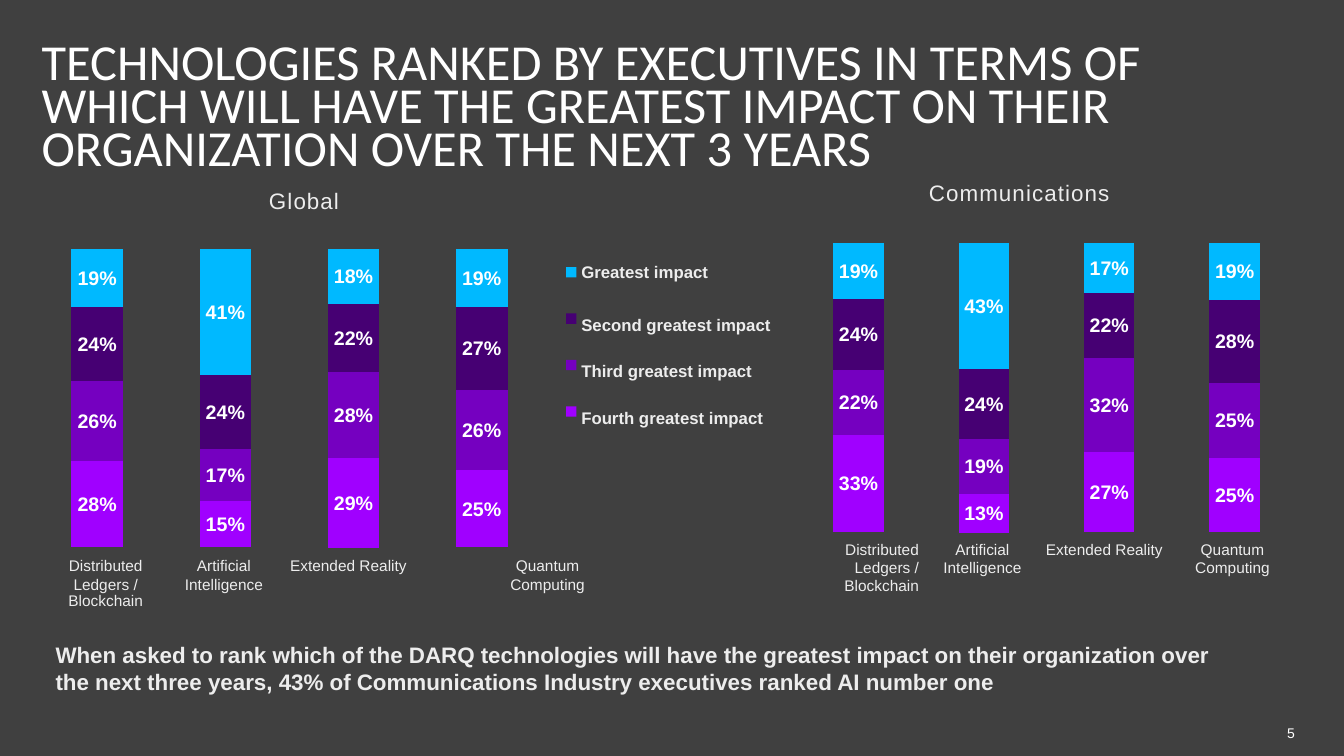
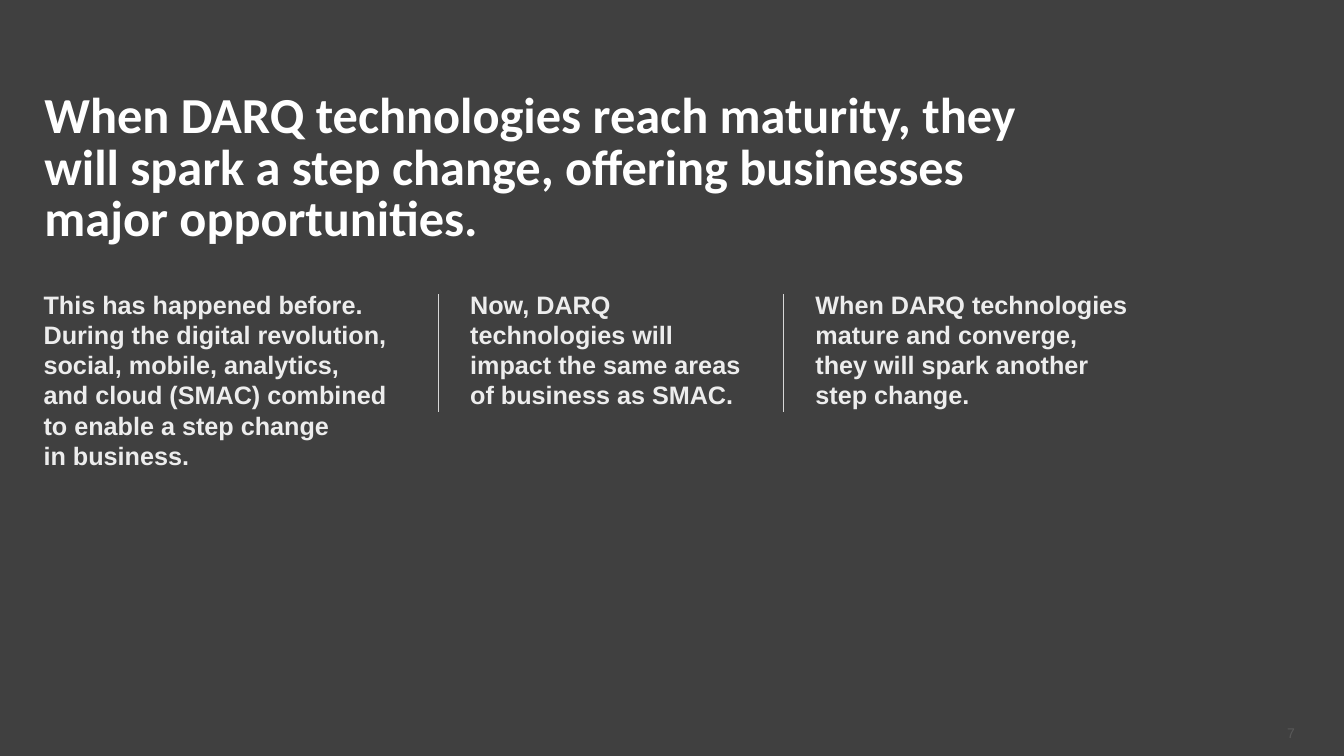
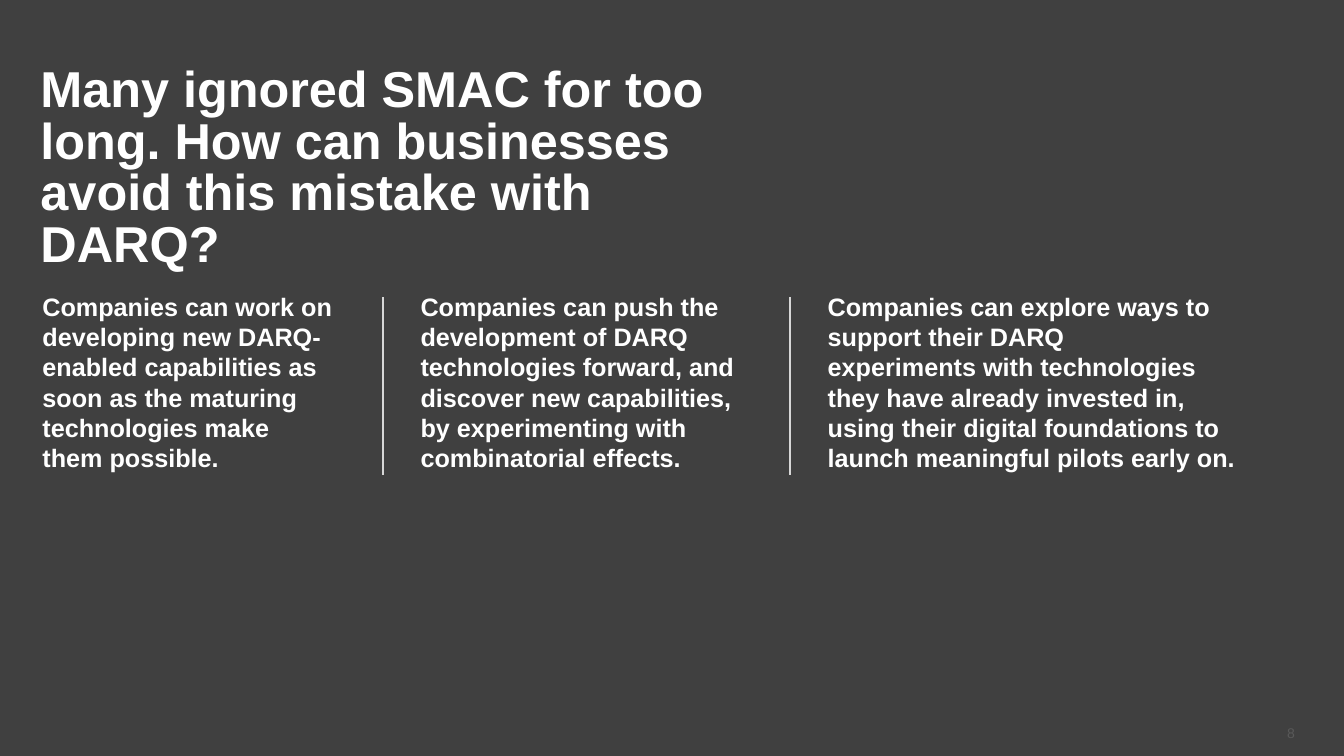
from copy import deepcopy

from lxml.etree import SubElement
from pptx import Presentation
from pptx.dml.color import RGBColor
from pptx.enum.shapes import MSO_CONNECTOR, MSO_SHAPE
from pptx.enum.text import MSO_ANCHOR, MSO_AUTO_SIZE, PP_ALIGN
from pptx.oxml.ns import qn
from pptx.util import Cm, Pt

BACKGROUND, WHITE, PALE, DIVIDER, DIM = "404040", "FFFFFF", "EDEDED", "D7D7D7", "595959"
PLAIN_TABLE = "{2D5ABB26-0587-4C30-8999-92F81FD0307C}"

# Impact ranks from the top of a bar down
RANKS = {
    "Greatest impact": "00B9FF",
    "Second greatest impact": "460073",
    "Third greatest impact": "7500C0",
    "Fourth greatest impact": "A000FF",
}


def rgb(value):
    return RGBColor.from_string(value)


def set_values(target, values):
    for attribute, value in values.items():
        setattr(target, attribute, value)


def write_paragraph(paragraph, text, leading, size, color, bold=False, name="Arial",
                    align=PP_ALIGN.LEFT, tracking=0):
    paragraph.text = text
    set_values(paragraph, {"alignment": align, "line_spacing": Pt(leading),
                           "space_before": Pt(0)})
    for run in paragraph.runs:
        set_values(run.font, {"name": name, "size": Pt(size), "bold": bold})
        run.font.color.rgb = rgb(color)
        if tracking:
            run.font._element.set("spc", str(tracking))
    # Line breaks take the format of the text around them
    for line_break in paragraph._p.findall(qn("a:br")):
        line_break.append(deepcopy(paragraph.runs[0].font._element))


def write(shape, text, leading, size, color, anchor=MSO_ANCHOR.TOP, **options):
    frame = shape.text_frame
    set_values(frame, {
        "margin_left": 0, "margin_right": 0, "margin_top": 0, "margin_bottom": 0,
        "word_wrap": True, "auto_size": MSO_AUTO_SIZE.NONE, "vertical_anchor": anchor,
    })
    write_paragraph(frame.paragraphs[0], text, leading, size, color, **options)


def write_cell(cell, text, leading, size, color, anchor=MSO_ANCHOR.TOP, fill=None, indent=0,
               **options):
    set_values(cell, {"margin_left": Cm(indent), "margin_right": 0, "margin_top": 0,
                      "margin_bottom": 0, "vertical_anchor": anchor})
    if fill:
        cell.fill.solid()
        cell.fill.fore_color.rgb = rgb(fill)
    else:
        cell.fill.background()
    paragraph = cell.text_frame.paragraphs[0]
    if text:
        write_paragraph(paragraph, text, leading, size, color, **options)
    else:
        # A small end mark keeps empty cells from stretching their row
        SubElement(paragraph._p, qn("a:endParaRPr")).set("sz", "600")


def add_text(slide, box, text, leading, size, color, **options):
    label = slide.shapes.add_textbox(*map(Cm, box))
    write(label, text, leading, size, color, **options)


def add_plain_table(slide, left, top, widths, heights):
    frame = slide.shapes.add_table(
        len(heights), len(widths), Cm(left), Cm(top), Cm(sum(widths)), Cm(sum(heights)))
    table = frame.table
    table.first_row = table.horz_banding = False
    table._tbl.tblPr.find(qn("a:tableStyleId")).text = PLAIN_TABLE
    for column, width in zip(table.columns, widths):
        column.width = Cm(width)
    for row, height in zip(table.rows, heights):
        row.height = Cm(height)
    return table


def add_slide(prs, number, number_color, title, box, leading=36.8, bold=True, name="Arial"):
    """Start a slide with its title and page number."""
    slide = prs.slides.add_slide(prs.slide_layouts[5])
    heading = slide.shapes.title
    heading.left, heading.top, heading.width, heading.height = map(Cm, box)
    write(heading, title, leading, 36, WHITE, bold=bold, name=name, anchor=MSO_ANCHOR.MIDDLE)
    add_text(slide, (31.6, 18.28, 1.03, 0.45), str(number), 11.2, 10, number_color,
             align=PP_ALIGN.RIGHT)
    return slide


def add_ranking(slide, left, top, bar_width, height, pitch, heading, heading_offset, bars):
    """A heading above bars of equal height, each split by its shares."""
    dx, dy = heading_offset
    add_text(slide, (left + dx, top + dy, 4.8, 0.71), heading, 19, 16, PALE, tracking=80)
    for index, shares in enumerate(bars):
        heights = [round(height * share / sum(shares), 2) for share in shares]
        bar = add_plain_table(slide, left + index * pitch, top, [bar_width], heights)
        for row, (share, color) in enumerate(zip(shares, RANKS.values())):
            write_cell(bar.cell(row, 0), f"{share}%", 16.4, 14, WHITE, fill=color, bold=True,
                       align=PP_ALIGN.CENTER, anchor=MSO_ANCHOR.MIDDLE)


def add_technology_names(slide, left, top):
    """One table names the bars of both rankings; the right half starts a row higher."""
    widths = (2.69, 3.02, 3.71, 6.12, 6.3, 2.95, 3.63, 2.46)
    indents = (0, 0.25, 0.28, 0, 0, 0.25, 0.25, 0.18)
    heights = (0.38, 0.46, 0.46, 0.38)
    names = [["Distributed", "Ledgers /", "Blockchain"], ["Artificial", "Intelligence"],
             ["Extended Reality"], ["Quantum", "Computing"]]
    center, flush = PP_ALIGN.CENTER, PP_ALIGN.LEFT
    aligns = (center, center, flush, center, PP_ALIGN.RIGHT, center, flush, center)
    table = add_plain_table(slide, left, top, widths, heights)
    for column, (indent, align) in enumerate(zip(indents, aligns)):
        lines = names[column % 4]
        start = 1 if column < 4 else 0
        for row in range(len(heights)):
            in_name = start <= row < start + len(lines)
            text = lines[row - start] if in_name else ""
            leading = 9.9 if row in (0, 3) else 11.1 if start else 12.1
            write_cell(table.cell(row, column), text, leading, 11, PALE, indent=indent,
                       align=align)
    table.cell(0, 0).merge(table.cell(0, 3))


def add_legend(slide, left, top):
    pitch, side, label_height = 1.17, 0.26, 0.52
    for index, (rank, color) in enumerate(RANKS.items()):
        key_top = top + index * pitch
        key = slide.shapes.add_shape(
            MSO_SHAPE.RECTANGLE, Cm(left), Cm(key_top), Cm(side), Cm(side))
        key.shadow.inherit = False
        key.fill.solid()
        key.fill.fore_color.rgb = rgb(color)
        key.line.fill.background()
        # Labels after the first sit slightly below their key
        drop = 0.15 if index else 0
        label_top = key_top + (side - label_height) / 2 + drop
        add_text(slide, (left + 0.38, label_top, 5.1, label_height), rank, 14.4, 12, PALE,
                 bold=True, anchor=MSO_ANCHOR.MIDDLE)


def add_columns(slide, top, height, divider_height, gap, color, columns):
    """Text columns, each after the first with a divider to its left."""
    for index, (left, width, text) in enumerate(columns):
        add_text(slide, (left, top, width, height), text, 21.6, 18, color, bold=True)
        if index:
            x, y = left - gap, top + 0.14
            divider = slide.shapes.add_connector(
                MSO_CONNECTOR.STRAIGHT, Cm(x), Cm(y), Cm(x), Cm(y + divider_height))
            divider.line.color.rgb = rgb(DIVIDER)
            divider.line.width = Pt(0.96)
            SubElement(divider._element.spPr, qn("a:effectLst"))


def build_ranking_slide(prs):
    slide = add_slide(
        prs, 5, WHITE,
        "TECHNOLOGIES RANKED BY EXECUTIVES IN TERMS OF\v"
        "WHICH WILL HAVE THE GREATEST IMPACT ON THEIR\v"
        "ORGANIZATION OVER THE NEXT 3 YEARS",
        (1.05, 0.92, 31.19, 3.81), leading=30.7, bold=False, name="Calibri")
    add_ranking(
        slide, 1.8, 6.27, 1.3, 7.52, 3.23, "Global", (4.98, -1.54),
        [(19, 24, 26, 28), (41, 24, 17, 15), (18, 22, 28, 29), (19, 27, 26, 25)])
    add_legend(slide, 14.27, 6.73)
    add_ranking(
        slide, 21, 6.12, 1.27, 7.29, 3.16, "Communications", (2.41, -1.6),
        [(19, 24, 22, 33), (43, 24, 19, 13), (17, 22, 32, 27), (19, 28, 25, 25)])
    add_technology_names(slide, 1.32, 13.72)
    add_text(
        slide, (1.4, 16.17, 29.8, 1.42),
        "When asked to rank which of the DARQ technologies will have the greatest impact on "
        "their organization over the next three years, 43% of Communications Industry "
        "executives ranked AI number one", 19, 16, PALE, bold=True)


def build_maturity_slide(prs):
    slide = add_slide(
        prs, 7, DIM,
        "When DARQ technologies reach maturity, they\vwill spark a step change, "
        "offering businesses\vmajor opportunities.",
        (1.12, 2.15, 25.65, 4.24), name="Calibri")
    add_columns(slide, 7.28, 4.65, 2.95, 0.8, PALE, [
        (1.1, 9.14, "This has happened before. During the digital revolution, social, mobile, "
                    "analytics,\vand cloud (SMAC) combined to enable a step change\vin business."),
        (11.85, 7.09, "Now, DARQ\vtechnologies will impact the same areas of business as SMAC."),
        (20.55, 8, "When DARQ technologies mature and converge, they will spark another "
                   "step change."),
    ])


def build_lesson_slide(prs):
    slide = add_slide(
        prs, 8, DIM,
        "Many ignored SMAC for too long. How can businesses avoid this mistake with DARQ?",
        (1.02, 1.6, 17.8, 5.33))
    add_columns(slide, 7.34, 4.65, 4.48, 0.95, WHITE, [
        (1.07, 7.44, "Companies can work on developing new DARQ-enabled capabilities as soon as "
                     "the maturing technologies make\vthem possible."),
        (10.6, 8.36, "Companies can push the development of DARQ technologies forward, and "
                     "discover new capabilities, by experimenting with combinatorial effects."),
        (20.86, 10.46, "Companies can explore ways to support their DARQ\vexperiments with "
                       "technologies they have already invested in, using their digital "
                       "foundations to launch meaningful pilots early on."),
    ])


def main():
    prs = Presentation()
    prs.slide_width, prs.slide_height = Cm(33.87), Cm(19.05)
    background = prs.slide_master.background.fill
    background.solid()
    background.fore_color.rgb = rgb(BACKGROUND)
    for build in (build_ranking_slide, build_maturity_slide, build_lesson_slide):
        build(prs)
    prs.save("out.pptx")


if __name__ == "__main__":
    main()
